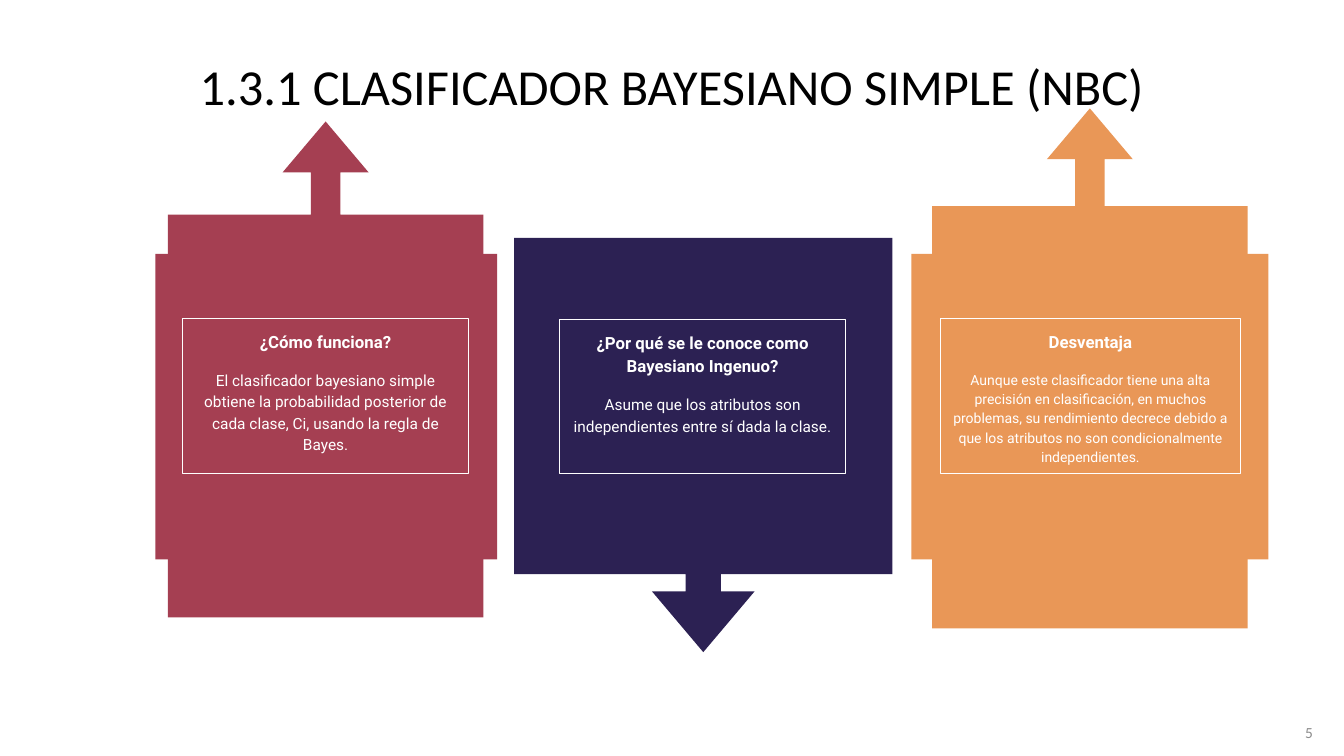
from pptx import Presentation
from pptx.dml.color import RGBColor
from pptx.enum.shapes import MSO_SHAPE
from pptx.enum.text import MSO_ANCHOR, PP_ALIGN
from pptx.util import Pt

PX = 9144  # 100 px to the inch
TITLE_ONLY = 5
CALLOUT = MSO_SHAPE.RIGHT_ARROW_CALLOUT
RECTANGLE = MSO_SHAPE.RECTANGLE
TOP, MIDDLE = MSO_ANCHOR.TOP, MSO_ANCHOR.MIDDLE
CENTER, RIGHT = PP_ALIGN.CENTER, PP_ALIGN.RIGHT
UP, DOWN = 270, 90
ARROW_PROPORTIONS = (0.093, 0.136, 0.161, 0.812)
PANEL_TOP, PANEL_HEIGHT = 252, 303
MARGIN = 10
COLORS = {
    "navy": "2C2153",
    "orange": "E99757",
    "maroon": "A53F52",
    "white": "FFFFFF",
    "black": "000000",
    "gray": "8C8C8C",
}

# callout: center x, center y, length, breadth; panel: left, width;
# frame: left, top, width, height
CARDS = [
    dict(color="navy", direction=DOWN, callout=(697, 441, 411, 375),
         panel=(528, 339), frame=(555, 317, 284, 153), body_size=11,
         heading="¿Por qué se le conoce como Bayesiano Ingenuo?",
         body="Asume que los atributos son independientes entre sí dada la clase."),
    dict(color="orange", direction=UP, callout=(1081, 365, 516, 313),
         panel=(904, 354), frame=(933, 316, 297, 154), body_size=10,
         heading="Desventaja",
         body="Aunque este clasificador tiene una alta precisión en clasificación, "
              "en muchos problemas, su rendimiento decrece debido a que los atributos "
              "no son condicionalmente independientes."),
    dict(color="maroon", direction=UP, callout=(323, 366, 492, 313),
         panel=(154, 339), frame=(181, 316, 284, 154), body_size=11,
         heading="¿Cómo funciona?",
         body="El clasificador bayesiano simple obtiene la probabilidad posterior "
              "de cada clase, Ci, usando la regla de Bayes."),
]


def rgb(name):
    return RGBColor.from_string(COLORS[name])


def to_emu(*lengths):
    return [length * PX for length in lengths]


def format_run(run, size, color, font="Calibri", bold=False):
    run.font.name = font
    run.font.size = Pt(size)
    run.font.bold = bold
    run.font.color.rgb = rgb(color)


def set_margins(frame):
    frame.margin_left = frame.margin_right = MARGIN * PX
    frame.margin_top = frame.margin_bottom = MARGIN * PX


def add_block(slide, kind, box, color):
    block = slide.shapes.add_shape(kind, *to_emu(*box))
    block.shadow.inherit = False
    block.fill.solid()
    block.fill.fore_color.rgb = rgb(color)
    block.line.fill.background()
    return block


def add_callout(slide, center_x, center_y, length, breadth, direction, color):
    """Place an arrow callout by its center, turned so the arrow points in direction."""
    box = (center_x - length // 2, center_y - breadth // 2, length, breadth)
    callout = add_block(slide, CALLOUT, box, color)
    callout.rotation = direction
    for index, proportion in enumerate(ARROW_PROPORTIONS):
        callout.adjustments[index] = proportion


def add_framed_text(slide, box, color, heading, body, body_size):
    framed = add_block(slide, RECTANGLE, box, color)
    framed.line.color.rgb = rgb("white")
    framed.line.width = Pt(0.75)
    frame = framed.text_frame
    frame.word_wrap = True
    frame.vertical_anchor = TOP
    set_margins(frame)
    frame.text = f"{heading}\n{body}"
    styles = [(12, True, 12), (body_size, False, 16)]
    for paragraph, (size, bold, space_after) in zip(frame.paragraphs, styles):
        paragraph.alignment = CENTER
        paragraph.line_spacing = 1.15
        paragraph.space_after = Pt(space_after)
        format_run(paragraph.runs[0], size, "white", "Roboto", bold)


def add_card(slide, color, direction, callout, panel, frame, heading, body, body_size):
    add_callout(slide, *callout, direction, color)
    panel_left, panel_width = panel
    add_block(slide, RECTANGLE, (panel_left, PANEL_TOP, panel_width, PANEL_HEIGHT), color)
    add_framed_text(slide, frame, color, heading, body, body_size)


def set_line(frame, text, size, color, alignment):
    """Fill a text frame with one vertically centered line."""
    frame.text = text
    frame.vertical_anchor = MIDDLE
    frame.paragraphs[0].alignment = alignment
    format_run(frame.paragraphs[0].runs[0], size, color)


def add_page_number(slide, number):
    frame = slide.shapes.add_textbox(*to_emu(1263, 707, 49, 40)).text_frame
    frame.word_wrap = True
    set_margins(frame)
    set_line(frame, number, 11, "gray", RIGHT)


def set_title(slide, text):
    title = slide.shapes.title
    title.left, title.top, title.width, title.height = to_emu(65, 40, 1203, 90)
    set_line(title.text_frame, text, 36, "black", CENTER)


def main():
    deck = Presentation()
    deck.slide_width, deck.slide_height = to_emu(1333, 750)
    slide = deck.slides.add_slide(deck.slide_layouts[TITLE_ONLY])
    add_page_number(slide, "5")
    set_title(slide, "1.3.1 CLASIFICADOR BAYESIANO SIMPLE (NBC)")
    for card in CARDS:
        add_card(slide, **card)
    deck.save("out.pptx")


if __name__ == "__main__":
    main()
